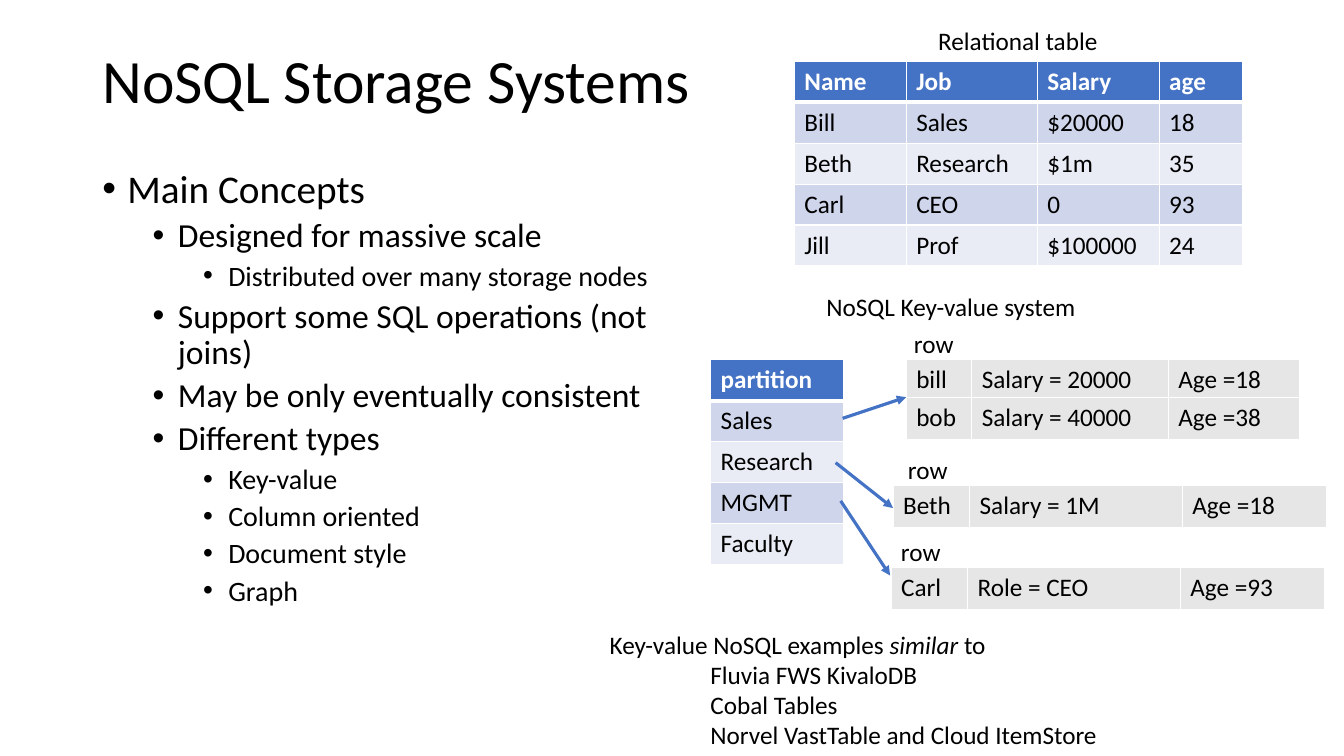
from dataclasses import dataclass

import pptx
import pptx.dml.color
import pptx.enum.shapes
import pptx.enum.text
import pptx.oxml
import pptx.oxml.ns
import pptx.util

Pt = pptx.util.Pt
RGB = pptx.dml.color.RGBColor.from_string
NS = pptx.oxml.ns.nsdecls("a")


@dataclass(frozen=True)
class Theme:
    font: str = "Calibri"
    ink: str = "000000"
    white: str = "FFFFFF"
    accent: str = "4472C4"
    bands: tuple = ("CFD5EA", "E9EBF5")
    record: str = "E7E6E6"
    title: int = 44
    levels: tuple = (28, 24, 20)
    body: int = 18
    arrow: float = 2.25


THEME = Theme()
ROW_HEIGHT = 29.2
RECORD_HEIGHT = 31
LABEL_HEIGHT = 29.1
ROW_LABEL_RISE = 25.9

CONCEPTS = [
    (0, "Main Concepts"),
    (1, "Designed for massive scale"),
    (2, "Distributed over many storage nodes"),
    (1, "Support some SQL operations (not joins)"),
    (1, "May be only eventually consistent"),
    (1, "Different types"),
    (2, "Key-value"),
    (2, "Column oriented"),
    (2, "Document style"),
    (2, "Graph"),
]
EMPLOYEES = [
    ["Name", "Job", "Salary", "age"],
    ["Bill", "Sales", "$20000", "18"],
    ["Beth", "Research", "$1m", "35"],
    ["Carl", "CEO", "0", "93"],
    ["Jill", "Prof", "$100000", "24"],
]
PARTITIONS = [["partition"], ["Sales"], ["Research"], ["MGMT"], ["Faculty"]]
NARROW, WIDE = (46.8, 140.4, 93.6), (54.7, 151.9, 103)
# left, top, column widths, values
RECORDS = [
    (647.3, 257, NARROW, ["bill", "Salary = 20000", "Age =18"]),
    (647.3, 283.7, NARROW, ["bob", "Salary = 40000", "Age =38"]),
    (637.9, 347, WIDE, ["Beth", "Salary = 1M", "Age =18"]),
    (636.5, 405.4, WIDE, ["Carl", "Role = CEO", "Age =93"]),
]
# left of the label, top of the record below it
ROW_LABELS = [(645.8, 257), (641.5, 347), (636.5, 405.4)]
ARROWS = [
    (601.9, 298.8, 647.3, 283.7),
    (596.9, 330.5, 637.9, 362.9),
    (600.5, 357.8, 635.8, 411.1),
]
EXAMPLES = ["Fluvia FWS KivaloDB", "Cobal Tables", "Norvel VastTable and Cloud ItemStore"]


def add_run(paragraph, text, size=THEME.body, color=THEME.ink, bold=False, italic=False):
    run = paragraph.add_run()
    run.text = text
    font = run.font
    font.name, font.size, font.bold, font.italic = THEME.font, Pt(size), bold, italic
    font.color.rgb = RGB(color)


def add_frame(slide, left, top, width, height, wrap=True):
    box = slide.shapes.add_textbox(Pt(left), Pt(top), Pt(width), Pt(height))
    box.text_frame.word_wrap = wrap
    return box.text_frame


def next_paragraph(frame, is_first):
    return frame.paragraphs[0] if is_first else frame.add_paragraph()


def indent(paragraph, margin, first_line=0):
    properties = paragraph._p.get_or_add_pPr()
    properties.set("marL", str(Pt(margin)))
    properties.set("indent", str(Pt(first_line)))
    return properties


def add_title(slide, text):
    frame = add_frame(slide, 66, 28.8, 467.3, 61.9)
    frame.vertical_anchor = pptx.enum.text.MSO_ANCHOR.MIDDLE
    frame.paragraphs[0].line_spacing = 0.9
    add_run(frame.paragraphs[0], text, THEME.title)


def add_concepts(slide):
    frame = add_frame(slide, 66, 117.4, 408.2, 369.4)
    for index, (level, text) in enumerate(CONCEPTS):
        paragraph = next_paragraph(frame, index == 0)
        paragraph.level = level
        paragraph.line_spacing = 0.9
        paragraph.space_before = Pt(5 if level else 10)
        properties = indent(paragraph, 18 + 36 * level, -18)
        for bullet in ('<a:buFont %s typeface="Arial"/>', '<a:buChar %s char="•"/>'):
            properties.append(pptx.oxml.parse_xml(bullet % NS))
        add_run(paragraph, text, THEME.levels[level])


def add_label(slide, left, top, width, text):
    frame = add_frame(slide, left, top, width, LABEL_HEIGHT, wrap=False)
    add_run(frame.paragraphs[0], text)


def set_borders(cell, bottom):
    properties = cell._tc.get_or_add_tcPr()
    for index, (side, width) in enumerate((("L", 1), ("R", 1), ("T", 1), ("B", bottom))):
        properties.insert(index, pptx.oxml.parse_xml(
            f'<a:ln{side} {NS} w="{Pt(width)}"><a:solidFill>'
            f'<a:srgbClr val="{THEME.white}"/></a:solidFill></a:ln{side}>'))


def add_grid(slide, left, top, widths, rows, row_height, has_header):
    """Draw a banded table with a header, or a plain record without one."""
    table = slide.shapes.add_table(
        len(rows), len(widths), Pt(left), Pt(top),
        Pt(sum(widths)), Pt(row_height * len(rows))).table
    table.first_row = table.horz_banding = has_header
    for column, width in zip(table.columns, widths):
        column.width = Pt(width)
    for r, values in enumerate(rows):
        table.rows[r].height = Pt(row_height)
        heading = has_header and r == 0
        if heading:
            fill = THEME.accent
        else:
            fill = THEME.bands[(r - 1) % 2] if has_header else THEME.record
        for c, text in enumerate(values):
            cell = table.cell(r, c)
            cell.fill.solid()
            cell.fill.fore_color.rgb = RGB(fill)
            set_borders(cell, 3 if heading or not has_header else 1)
            add_run(cell.text_frame.paragraphs[0], text,
                    color=THEME.white if heading else THEME.ink, bold=heading)


def add_arrow(slide, *ends):
    arrow = slide.shapes.add_connector(
        pptx.enum.shapes.MSO_CONNECTOR.STRAIGHT, *map(Pt, ends))
    arrow.line.color.rgb = RGB(THEME.accent)
    arrow.line.width = Pt(THEME.arrow)
    arrow.line._get_or_add_ln().append(
        pptx.oxml.parse_xml(f'<a:tailEnd {NS} type="triangle"/>'))
    arrow._element.spPr.append(pptx.oxml.parse_xml(f"<a:effectLst {NS}/>"))


def add_examples(slide):
    frame = add_frame(slide, 428.4, 445.7, 364.3, 94.3)
    intro = frame.paragraphs[0]
    add_run(intro, "Key-value NoSQL examples ")
    add_run(intro, "similar", italic=True)
    add_run(intro, " to")
    for product in EXAMPLES:
        paragraph = frame.add_paragraph()
        indent(paragraph, 72)
        add_run(paragraph, product)


def main():
    deck = pptx.Presentation()
    deck.slide_width, deck.slide_height = Pt(960), Pt(540)
    slide = deck.slides.add_slide(deck.slide_layouts[6])

    add_title(slide, "NoSQL Storage Systems")
    add_concepts(slide)

    add_label(slide, 663.1, 14.4, 129.6, "Relational table")
    add_grid(slide, 567.4, 43.9, (79.9, 93.6, 87.1, 59.8), EMPLOYEES, ROW_HEIGHT, True)

    add_label(slide, 583.2, 204.5, 195.1, "NoSQL Key-value system")
    add_grid(slide, 507.6, 257, (95,), PARTITIONS, ROW_HEIGHT, True)
    for left, top, widths, values in RECORDS:
        add_grid(slide, left, top, widths, [values], RECORD_HEIGHT, False)
    for left, record_top in ROW_LABELS:
        add_label(slide, left, record_top - ROW_LABEL_RISE, 43.2, "row")
    for ends in ARROWS:
        add_arrow(slide, *ends)

    add_examples(slide)
    deck.save("out.pptx")


if __name__ == "__main__":
    main()
